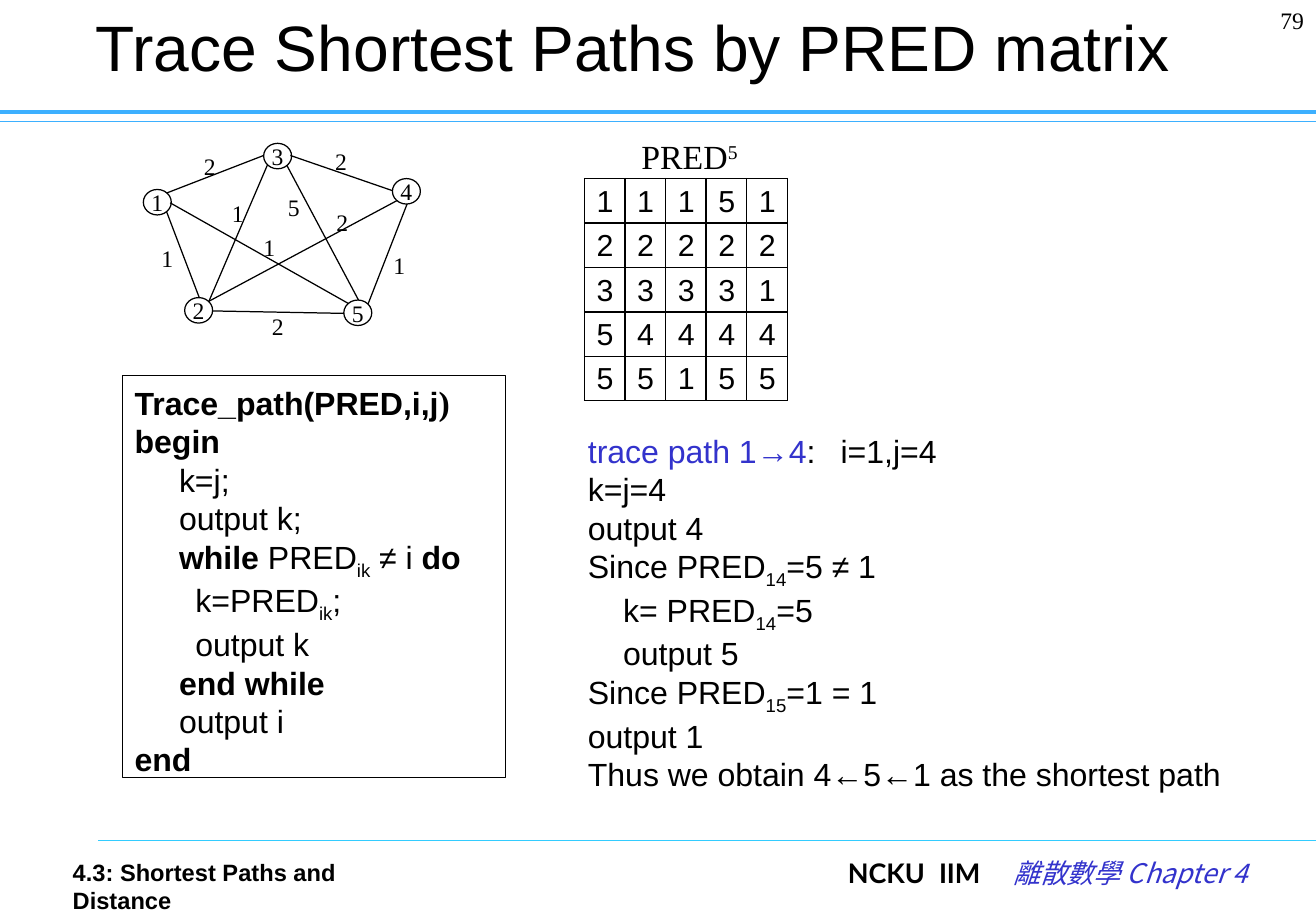
from lxml import etree
from pptx import Presentation
from pptx.dml.color import RGBColor
from pptx.enum.shapes import MSO_CONNECTOR, MSO_SHAPE
from pptx.enum.text import MSO_ANCHOR, PP_ALIGN
from pptx.oxml.ns import qn
from pptx.util import Inches, Pt

BLACK = RGBColor(0x00, 0x00, 0x00)
BLUE = RGBColor(0x33, 0x33, 0xCC)
HEADER_BLUE = RGBColor(0x3D, 0xB0, 0xFF)
FOOTER_BLUE = RGBColor(0x33, 0xCC, 0xFF)
SANS, SERIF = "Arial", "Times New Roman"
COURSE_FONT = "Noto Sans CJK SC"

PRED = [[1, 1, 1, 5, 1],
        [2, 2, 2, 2, 2],
        [3, 3, 3, 3, 1],
        [5, 4, 4, 4, 4],
        [5, 5, 1, 5, 5]]

# Graph: left and top of each node, ends of each edge, place of each weight
NODES = {1: (1.18, 1.56), 2: (1.52, 2.45), 3: (2.17, 1.18),
         4: (3.23, 1.47), 5: (2.83, 2.47)}
EDGES = [(1.37, 1.74, 1.64, 2.45), (1.72, 2.48, 2.2, 1.36),
         (2.39, 1.28, 3.23, 1.57), (2.36, 1.36, 2.95, 2.47),
         (3.35, 1.68, 3.03, 2.5), (3.27, 1.65, 1.72, 2.48),
         (2.83, 2.58, 1.75, 2.56), (1.4, 1.67, 2.87, 2.5),
         (1.37, 1.59, 2.17, 1.28)]
WEIGHTS = [(2, 1.58, 1.2), (1, 1.81, 1.59), (2, 2.14, 2.52),
           (2, 2.67, 1.66), (1, 2.07, 1.87), (2, 2.66, 1.16),
           (1, 3.14, 2.02), (1, 1.23, 1.96), (5, 2.27, 1.54)]

# Run styles
BOLD = {"bold": True}
SUB = {"baseline": -25000}
SUPER = {"baseline": 30000}
PAREN = {"bold": True, "size": 20, "font": SERIF}
LINK = {"color": BLUE}

CODE = [
    [("Trace_path(PRED,i,j", BOLD), (")", PAREN)],
    [("begin", BOLD)],
    [("     k=j;", {})],
    [("     output k;", {})],
    [("     while", BOLD), (" PRED", {}), ("ik", SUB), (" ≠ i ", {}),
     ("do", BOLD)],
    [("\tk=PRED", {}), ("ik", SUB), (";", {})],
    [("\toutput k", {})],
    [("     end while", BOLD)],
    [("     output i", {})],
    [("end", BOLD)],
]
TRACE = [
    [("trace path 1→4", LINK), (":\ti=1,j=4", {})],
    [("k=j=4", {})],
    [("output 4", {})],
    [("Since PRED", {}), ("14", SUB), ("=5 ≠ 1", {})],
    [("k= PRED", {}), ("14", SUB), ("=5", {})],
    [("output 5", {})],
    [("Since PRED", {}), ("15", SUB), ("=1 = 1", {})],
    [("output 1", {})],
    [("Thus we obtain 4←5←1 as the shortest path", {})],
]
TRACE_INDENTED = (4, 5)


def format_run(run, size, font=SANS, color=BLACK, bold=False, italic=False,
               baseline=0):
    run.font.size = Pt(size)
    run.font.name = font
    run.font.color.rgb = color
    run.font.bold = bold
    run.font.italic = italic
    properties = run._r.get_or_add_rPr()
    if baseline:
        properties.set("baseline", str(baseline))
    if font == COURSE_FONT:
        etree.SubElement(properties, qn("a:ea")).set("typeface", font)


def write_lines(text_frame, lines, size, font=SANS):
    """Fill a text frame with lines, each a list of (text, style) runs."""
    for index, line in enumerate(lines):
        paragraph = (text_frame.add_paragraph() if index
                     else text_frame.paragraphs[0])
        for text, style in line:
            run = paragraph.add_run()
            run.text = text
            format_run(run, **{"size": size, "font": font, **style})


def add_text(slide, left, top, width, height, lines, size, font=SANS):
    shape = slide.shapes.add_textbox(Inches(left), Inches(top),
                                     Inches(width), Inches(height))
    shape.text_frame.word_wrap = True
    write_lines(shape.text_frame, lines, size, font)
    return shape.text_frame


def add_tabs(paragraph, positions):
    tab_list = etree.SubElement(paragraph._p.get_or_add_pPr(), qn("a:tabLst"))
    for position in positions:
        tab = etree.SubElement(tab_list, qn("a:tab"))
        tab.set("pos", str(Inches(position)))
        tab.set("algn", "l")


def add_line(slide, x1, y1, x2, y2, color=BLACK, width=0.75):
    line = slide.shapes.add_connector(MSO_CONNECTOR.STRAIGHT, Inches(x1),
                                      Inches(y1), Inches(x2), Inches(y2))
    line.line.color.rgb = color
    line.line.width = Pt(width)
    etree.SubElement(line._element.spPr, qn("a:effectLst"))


def add_outline(slide, kind, left, top, width, height):
    shape = slide.shapes.add_shape(kind, Inches(left), Inches(top),
                                   Inches(width), Inches(height))
    shape.shadow.inherit = False
    shape.fill.background()
    shape.line.color.rgb = BLACK
    shape.line.width = Pt(0.75)
    return shape.text_frame


def add_node(slide, label, left, top):
    frame = add_outline(slide, MSO_SHAPE.FLOWCHART_CONNECTOR,
                        left, top, 0.23, 0.21)
    frame.margin_left = frame.margin_right = 0
    frame.margin_top = frame.margin_bottom = 0
    frame.word_wrap = False
    frame.vertical_anchor = MSO_ANCHOR.MIDDLE
    write_lines(frame, [[(str(label), {})]], 14, SERIF)
    frame.paragraphs[0].alignment = PP_ALIGN.CENTER


def add_cell_borders(cell):
    properties = cell._tc.get_or_add_tcPr()
    for side in ("a:lnL", "a:lnR", "a:lnT", "a:lnB"):
        border = etree.SubElement(properties, qn(side))
        border.set("w", str(Pt(1)))
        fill = etree.SubElement(border, qn("a:solidFill"))
        etree.SubElement(fill, qn("a:srgbClr")).set("val", str(BLACK))


def add_matrix(slide, values, left, top, width, height):
    table = slide.shapes.add_table(len(values), len(values[0]), Inches(left),
                                   Inches(top), Inches(width),
                                   Inches(height)).table
    table.first_row = table.horz_banding = False
    for row, row_values in enumerate(values):
        for column, value in enumerate(row_values):
            cell = table.cell(row, column)
            cell.margin_left, cell.margin_top = Inches(0.1), Inches(0.05)
            cell.margin_right = cell.margin_bottom = 0
            add_cell_borders(cell)
            cell.fill.background()
            write_lines(cell.text_frame, [[(str(value), {})]], 18)


def main():
    presentation = Presentation()
    presentation.slide_width = Inches(10.83)
    presentation.slide_height = Inches(7.5)
    slide = presentation.slides.add_slide(presentation.slide_layouts[5])

    # Title, page number and header rules
    title = slide.shapes.title
    title.left, title.top = Inches(0.49), Inches(0)
    title.width, title.height = Inches(9.44), Inches(0.75)
    title.text_frame.text = "Trace Shortest Paths by PRED matrix"
    title.text_frame.vertical_anchor = MSO_ANCHOR.MIDDLE
    title.text_frame.paragraphs[0].alignment = PP_ALIGN.CENTER
    format_run(title.text_frame.paragraphs[0].runs[0], 38)
    page = add_text(slide, 9.93, 0, 0.9, 0.5, [[("79", {})]], 14, SERIF)
    page.paragraphs[0].alignment = PP_ALIGN.RIGHT
    add_line(slide, 0, 0.92, 10.83, 0.92, HEADER_BLUE, 2.5)
    add_line(slide, 0, 1, 10.83, 1, HEADER_BLUE)

    # Weighted graph
    for label, place in NODES.items():
        add_node(slide, label, *place)
    for edge in EDGES:
        add_line(slide, *edge)
    for weight, left, top in WEIGHTS:
        add_text(slide, left, top, 0.3, 0.33, [[(str(weight), {})]], 14, SERIF)

    # Predecessor matrix
    add_text(slide, 5.18, 1.07, 1.1, 0.43,
             [[("PRED", {}), ("5", SUPER)]], 20, SERIF)
    add_matrix(slide, PRED, 4.81, 1.47, 1.67, 1.83)

    # Algorithm
    code = add_outline(slide, MSO_SHAPE.RECTANGLE, 1.01, 3.09, 3.15, 3.31)
    code.word_wrap = True
    code.vertical_anchor = MSO_ANCHOR.TOP
    write_lines(code, CODE, 19)
    for paragraph in code.paragraphs:
        paragraph.alignment = PP_ALIGN.LEFT

    # Worked trace
    trace = add_text(slide, 4.74, 3.5, 5.6, 2.94, TRACE, 19)
    add_tabs(trace.paragraphs[0], [2.08])
    for index in TRACE_INDENTED:
        properties = trace.paragraphs[index]._p.get_or_add_pPr()
        properties.set("marL", str(Inches(0.29)))

    # Footer
    add_line(slide, 0.81, 6.92, 10.83, 6.92, FOOTER_BLUE)
    add_text(slide, 0.5, 7.01, 3.22, 0.33,
             [[("4.3: Shortest Paths and Distance", BOLD)]], 14)
    course_style = {"font": COURSE_FONT, "color": BLUE, "italic": True}
    course = add_text(slide, 6.88, 7, 3.7, 0.5,
                      [[("NCKU\tIIM\t", BOLD),
                        ("離散數學 Chapter 4", course_style)]], 16, "Lato")
    add_tabs(course.paragraphs[0], [0.75, 1.36])

    presentation.save("out.pptx")


if __name__ == "__main__":
    main()
